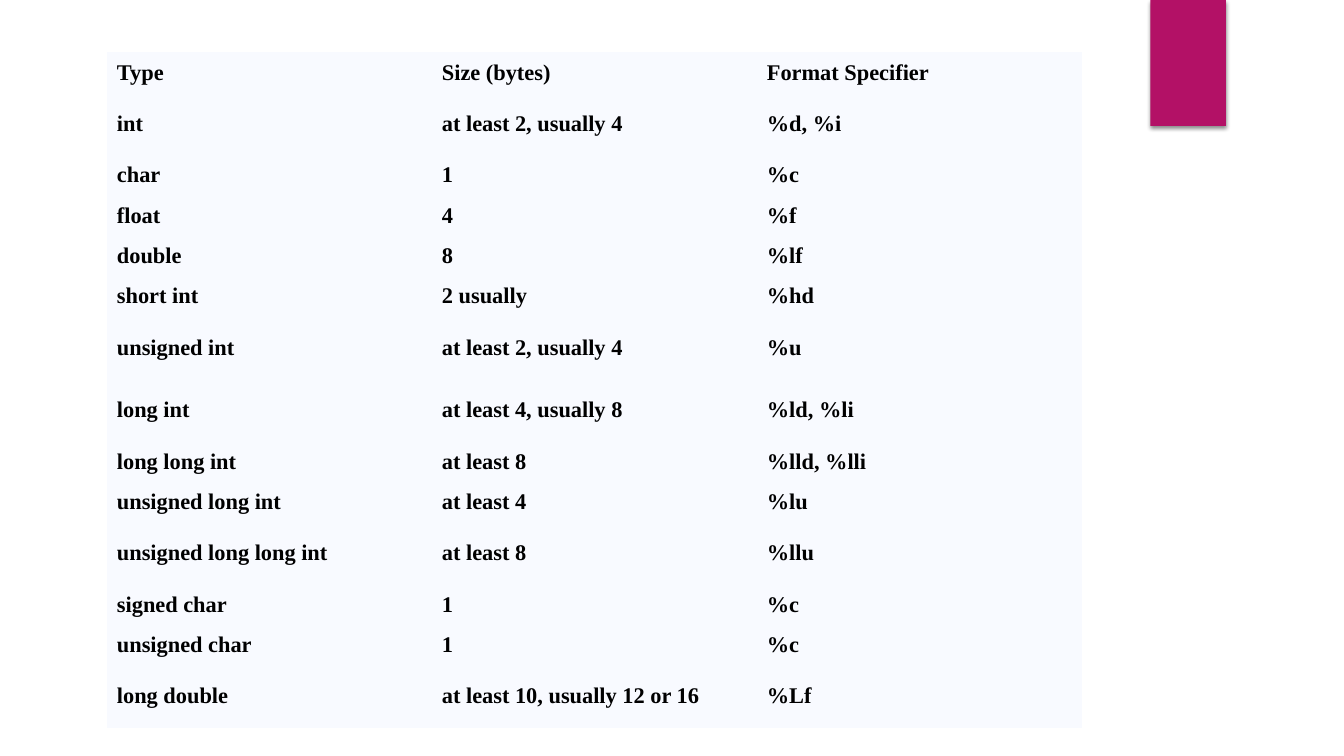
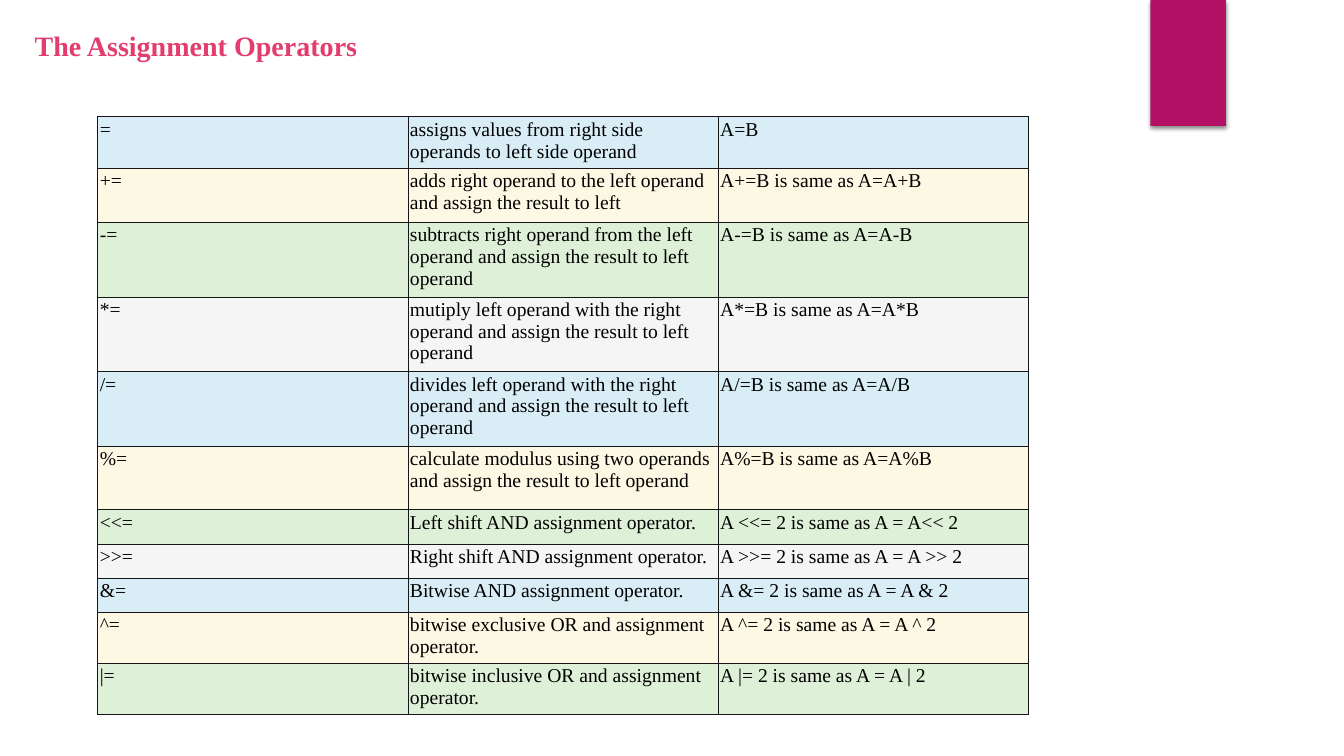
from itertools import cycle

from lxml import etree
from pptx import Presentation
from pptx.dml.color import RGBColor
from pptx.enum.shapes import MSO_SHAPE
from pptx.enum.text import MSO_ANCHOR, PP_ALIGN
from pptx.oxml import parse_xml
from pptx.oxml.ns import nsdecls, qn
from pptx.util import Inches, Pt

RECTANGLE = MSO_SHAPE.RECTANGLE
CENTER = PP_ALIGN.CENTER
TOP, MIDDLE = MSO_ANCHOR.TOP, MSO_ANCHOR.MIDDLE

FONT = "Times New Roman"
BLACK, MAGENTA, PINK = "000000", "B31166", "E33D6F"

LOW, HIGH = 0.4, 0.62
DATA_TYPES = [
    (LOW, "Type", "Size (bytes)", "Format Specifier"),
    (HIGH, "int", "at least 2, usually 4", "%d, %i"),
    (LOW, "char", "1", "%c"),
    (LOW, "float", "4", "%f"),
    (LOW, "double", "8", "%lf"),
    (LOW, "short int", "2 usually", "%hd"),
    (HIGH, "unsigned int", "at least 2, usually 4", "%u"),
    (HIGH, "long int", "at least 4, usually 8", "%ld, %li"),
    (LOW, "long long int", "at least 8", "%lld, %lli"),
    (LOW, "unsigned long int", "at least 4", "%lu"),
    (HIGH, "unsigned long long int", "at least 8", "%llu"),
    (LOW, "signed char", "1", "%c"),
    (LOW, "unsigned char", "1", "%c"),
    (HIGH, "long double", "at least 10, usually 12 or 16", "%Lf"),
]

ONE_LINE, TWO_LINES, THREE_LINES = 0.34, 0.5, 0.74
ASSIGNMENTS_TITLE = "The Assignment Operators"
ASSIGNMENTS = [
    (TWO_LINES, "=", "assigns values from right side operands to left side operand", "A=B"),
    (0.54, "+=", "adds right operand to the left operand and assign the result to left",
     "A+=B is same as A=A+B"),
    (THREE_LINES, "-=",
     "subtracts right operand from the left operand and assign the result to left operand",
     "A-=B is same as A=A-B"),
    (THREE_LINES, "*=",
     "mutiply left operand with the right operand and assign the result to left operand",
     "A*=B is same as A=A*B"),
    (THREE_LINES, "/=",
     "divides left operand with the right operand and assign the result to left operand",
     "A/=B is same as A=A/B"),
    (0.63, "%=", "calculate modulus using two operands and assign the result to left operand",
     "A%=B is same as A=A%B"),
    (ONE_LINE, "<<=", "Left shift AND assignment operator.", "A <<= 2 is same as A = A<< 2"),
    (ONE_LINE, ">>=", "Right shift AND assignment operator.", "A >>= 2 is same as A = A >> 2"),
    (ONE_LINE, "&=", "Bitwise AND assignment operator.", "A &= 2 is same as A = A & 2"),
    (TWO_LINES, "^=", "bitwise exclusive OR and assignment operator.",
     "A ^= 2 is same as A = A ^ 2"),
    (TWO_LINES, "|=", "bitwise inclusive OR and assignment operator.",
     "A |= 2 is same as A = A | 2"),
]

DATA_TYPES_STYLE = {
    "at": (1.06, 0.52), "width": 9.67, "size": 16, "bold": True, "anchor": MIDDLE,
    "insets": (0.1, 0.05), "fills": ["F8FAFF"], "border": None,
}
ASSIGNMENTS_STYLE = {
    "at": (0.97, 1.16), "width": 9.23, "size": 14, "bold": False, "anchor": TOP,
    "insets": (0.02, 0.02), "fills": ["D9EDF7", "FCF8E3", "DFF0D8", "F5F5F5"],
    "border": "151616",
}


def rgb(value):
    return RGBColor.from_string(value)


def write(frame, text, size, color, bold):
    paragraph = frame.paragraphs[0]
    run = paragraph.add_run()
    run.text = text
    for name, value in {"name": FONT, "size": Pt(size), "bold": bold}.items():
        setattr(run.font, name, value)
    run.font.color.rgb = rgb(color)
    return paragraph


def set_borders(cell, color):
    """Draw all four sides in a colour, or clear them when it is None."""
    paint = f'<a:solidFill><a:srgbClr val="{color}"/></a:solidFill>' if color else "<a:noFill/>"
    properties = cell._tc.get_or_add_tcPr()
    for position, side in enumerate(("lnL", "lnR", "lnT", "lnB")):
        line = parse_xml(f'<a:{side} {nsdecls("a")} w="{Pt(0.75)}">{paint}</a:{side}>')
        properties.insert(position, line)


def add_band(slide):
    band = slide.shapes.add_shape(RECTANGLE, Inches(11.41), 0, Inches(0.75), Inches(1.25))
    band.fill.solid()
    band.fill.fore_color.rgb = rgb(MAGENTA)
    band.line.fill.background()
    band.shadow.inherit = False
    effects = band.element.spPr.find(qn("a:effectLst"))
    shadow = etree.SubElement(effects, qn("a:outerShdw"), blurRad=str(Pt(3)),
                              dist=str(Pt(2)), dir="5400000", rotWithShape="0")
    color = etree.SubElement(shadow, qn("a:srgbClr"), val=BLACK)
    etree.SubElement(color, qn("a:alpha"), val="45000")


def add_title(slide, text):
    box = slide.shapes.add_textbox(Inches(-1.39), Inches(0.23), Inches(6.67), Inches(1.11))
    box.text_frame.word_wrap = True
    write(box.text_frame, text, 20, PINK, True).alignment = CENTER


def add_grid(slide, rows, style):
    """Add a table whose rows each start with their height in inches."""
    left, top = style["at"]
    column_count = len(rows[0]) - 1
    table = slide.shapes.add_table(
        len(rows), column_count, Inches(left), Inches(top),
        Inches(style["width"]), Inches(sum(row[0] for row in rows))).table
    table.first_row = table.horz_banding = False
    side, edge = (Inches(inset) for inset in style["insets"])
    cell_format = {"vertical_anchor": style["anchor"], "margin_left": side,
                   "margin_right": side, "margin_top": edge, "margin_bottom": edge}
    for table_row, (height, *texts), fill in zip(table.rows, rows, cycle(style["fills"])):
        table_row.height = Inches(height)
        for cell, text in zip(table_row.cells, texts):
            for name, value in cell_format.items():
                setattr(cell, name, value)
            cell.fill.solid()
            cell.fill.fore_color.rgb = rgb(fill)
            set_borders(cell, style["border"])
            write(cell.text_frame, text, style["size"], BLACK, style["bold"])


def main():
    deck = Presentation()
    deck.slide_width, deck.slide_height = Inches(13.33), Inches(7.5)
    for title, rows, style in (
        (None, DATA_TYPES, DATA_TYPES_STYLE),
        (ASSIGNMENTS_TITLE, ASSIGNMENTS, ASSIGNMENTS_STYLE),
    ):
        slide = deck.slides.add_slide(deck.slide_layouts[6])
        add_band(slide)
        if title:
            add_title(slide, title)
        add_grid(slide, rows, style)
    deck.save("out.pptx")


if __name__ == "__main__":
    main()
